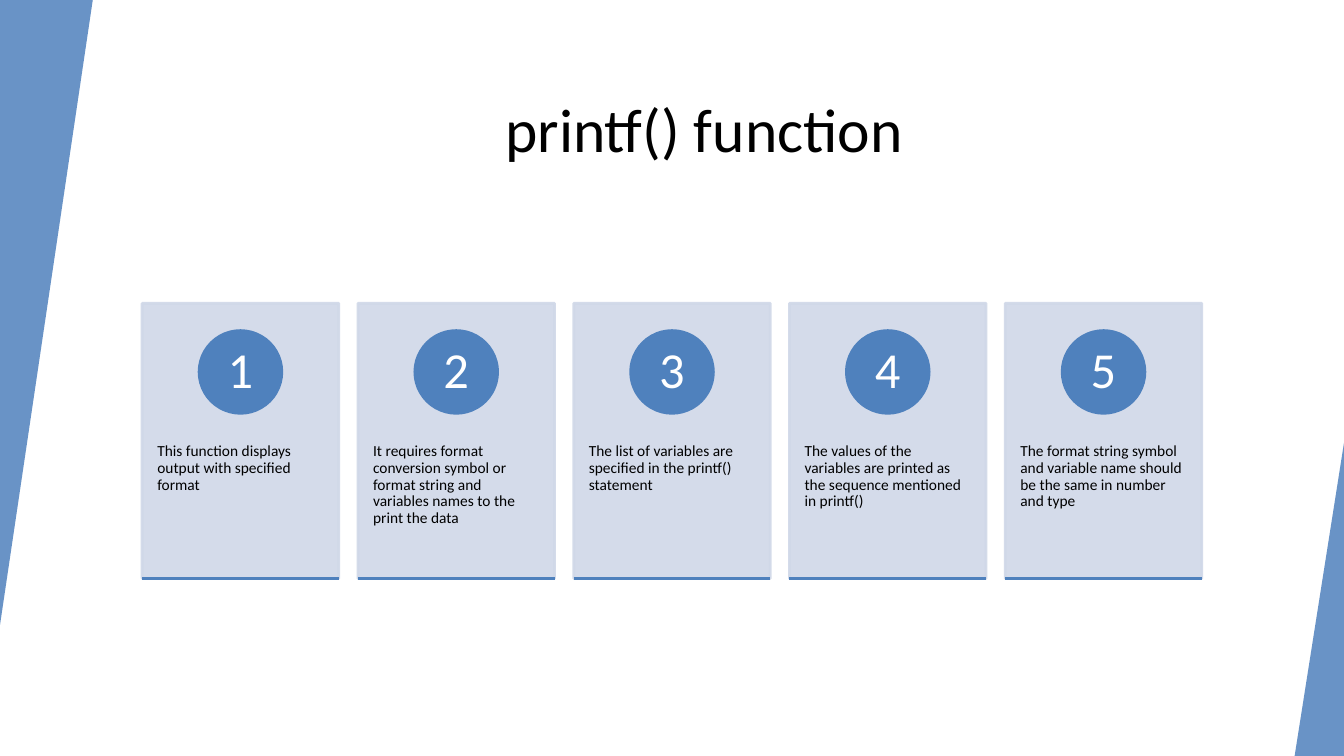
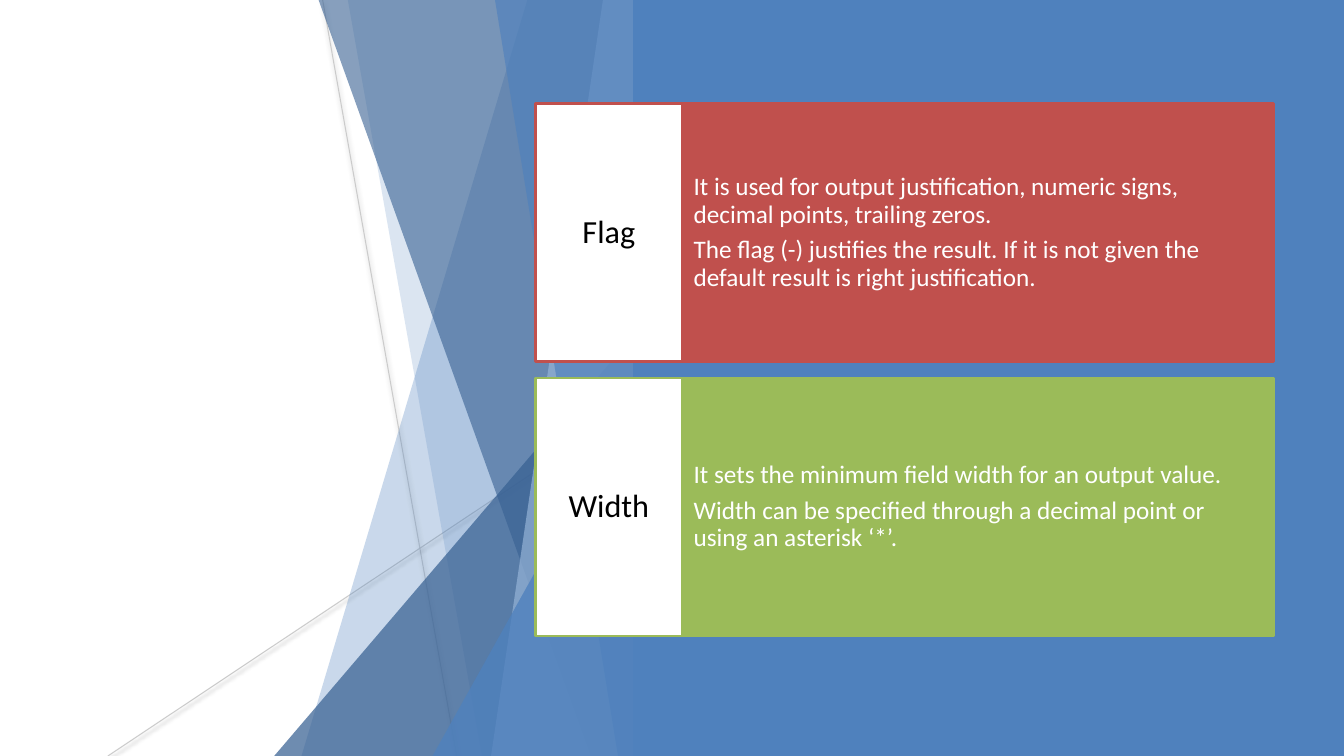
from lxml import etree
from pptx import Presentation
from pptx.dml.color import RGBColor
from pptx.enum.shapes import MSO_CONNECTOR, MSO_SHAPE
from pptx.enum.text import MSO_ANCHOR, PP_ALIGN
from pptx.oxml.ns import qn
from pptx.util import Inches, Pt

RECTANGLE = MSO_SHAPE.RECTANGLE
OVAL = MSO_SHAPE.OVAL
TRIANGLE = MSO_SHAPE.ISOSCELES_TRIANGLE
STRAIGHT = MSO_CONNECTOR.STRAIGHT
TOP, MIDDLE = MSO_ANCHOR.TOP, MSO_ANCHOR.MIDDLE
LEFT, CENTER = PP_ALIGN.LEFT, PP_ALIGN.CENTER

FONT = "Calibri"
BLACK = RGBColor(0x00, 0x00, 0x00)
WHITE = RGBColor(0xFF, 0xFF, 0xFF)
BLUE = RGBColor(0x4F, 0x81, 0xBD)
DARK_BLUE = RGBColor(0x37, 0x60, 0x92)
LIGHT_BLUE = RGBColor(0x95, 0xB3, 0xD7)
PALE_BLUE = RGBColor(0xD0, 0xD8, 0xE8)
RED = RGBColor(0xC0, 0x50, 0x4D)
GREEN = RGBColor(0x9B, 0xBB, 0x59)
GREY = RGBColor(0xBF, 0xBF, 0xBF)

SLIDE_WIDTH, SLIDE_HEIGHT = 13.33, 7.5

TITLE = "printf() function"
CARDS = [
    "This function displays output with specified format",
    "It requires format conversion symbol or format string and variables names to the print the data",
    "The list of variables are specified in the printf() statement",
    "The values of the variables are printed as the sequence mentioned in printf()",
    "The format string symbol and variable name should be the same in number and type",
]
PANELS = [
    ("Flag", RED, [
        "It is used for output justification, numeric signs, decimal points, trailing zeros.",
        "The flag (-) justifies the result. If it is not given the default result is right justification.",
    ]),
    ("Width", GREEN, [
        "It sets the minimum field width for an output value.",
        "Width can be specified through a decimal point or using an asterisk ‘*’.",
    ]),
]

CARD_LEFT, CARD_TOP, CARD_WIDTH, CARD_HEIGHT, CARD_PITCH = 1.41, 3.01, 1.95, 2.73, 2.14
BADGE_SIZE, BADGE_OFFSET = 0.82, 0.27
PANEL_LEFT, PANEL_TOP, PANEL_HEIGHT, PANEL_PITCH = 5.31, 1.03, 2.56, 2.72
LABEL_WIDTH, DETAIL_WIDTH = 1.46, 5.86

# Facets end at FACET_RIGHT; a band is (left at top, left at bottom),
# a corner is (left, top) of a right triangle standing on the slide's bottom.
FACET_RIGHT = 6.28
FACETS = [
    ("band", 5.23, 2.99, BLUE, 30),
    ("band", 3.45, 4.78, BLUE, 20),
    ("corner", 2.72, 3.33, DARK_BLUE, 72),
    ("band", 3.16, 5.86, DARK_BLUE, 60),
    ("band", 5.98, 4.87, LIGHT_BLUE, 70),
    ("band", 4.91, 6.13, BLUE, 65),
    ("corner", 4.29, 3.93, BLUE, 80),
]
HAIRLINES = [((3.2, 0), (4.53, 7.5), 75), ((6.28, 4.03), (1.07, 7.5), 80)]


def set_opacity(color_parent, percent):
    """Make every solid colour below the element partly transparent."""
    for color in color_parent.iter(qn("a:srgbClr")):
        etree.SubElement(color, qn("a:alpha"), val=str(percent * 1000))


def paint(shape, fill, line=None, opacity=100):
    shape.shadow.inherit = False
    shape.fill.solid()
    shape.fill.fore_color.rgb = fill
    if line is None:
        shape.line.fill.background()
    else:
        shape.line.color.rgb = line
        shape.line.width = Pt(2)
    if opacity < 100:
        set_opacity(shape._element.spPr, opacity)


def add_shape(slide, kind, left, top, width, height, fill, line=None, opacity=100):
    shape = slide.shapes.add_shape(
        kind, Inches(left), Inches(top), Inches(width), Inches(height))
    paint(shape, fill, line, opacity)
    return shape


def add_corner(slide, left, top, right, bottom, opacity, fill=BLUE):
    """Add a right triangle whose upright side is on the right."""
    corner = add_shape(slide, TRIANGLE, left, top, right - left, bottom - top,
                       fill, opacity=opacity)
    corner.adjustments[0] = 1
    return corner


def add_band(slide, top_left, bottom_left, fill, opacity):
    builder = slide.shapes.build_freeform(Inches(top_left), 0)
    corners = [(FACET_RIGHT, 0), (FACET_RIGHT, SLIDE_HEIGHT), (bottom_left, SLIDE_HEIGHT)]
    builder.add_line_segments([(Inches(x), Inches(y)) for x, y in corners])
    paint(builder.convert_to_shape(), fill, opacity=opacity)


def add_line(slide, start, end, color, width):
    """Add a straight line and return it with its empty effect list."""
    points = [Inches(value) for value in (*start, *end)]
    line = slide.shapes.add_connector(STRAIGHT, *points)
    line.line.color.rgb = color
    line.line.width = Pt(width)
    effects = etree.SubElement(line._element.spPr, qn("a:effectLst"))
    return line, effects


def add_hairline(slide, start, end, opacity):
    line, effects = add_line(slide, start, end, GREY, 0.75)
    set_opacity(line._element.spPr, opacity)
    shadow = etree.SubElement(
        effects, qn("a:outerShdw"), blurRad=str(Pt(3.1)), dist=str(Pt(1.6)),
        dir="5400000", rotWithShape="0")
    etree.SubElement(shadow, qn("a:srgbClr"), val=str(BLACK))
    set_opacity(shadow, 38)


def format_run(run, size, color):
    run.font.name = FONT
    run.font.size = Pt(size)
    run.font.color.rgb = color


def write(shape, texts, size, color, margins, align=LEFT, anchor=MIDDLE):
    """Fill a shape with paragraphs; margins are (side, top, bottom)."""
    frame = shape.text_frame
    frame.word_wrap = True
    frame.vertical_anchor = anchor
    side, top, bottom = (Inches(margin) for margin in margins)
    frame.margin_left = frame.margin_right = side
    frame.margin_top, frame.margin_bottom = top, bottom
    for index, text in enumerate(texts):
        paragraph = frame.add_paragraph() if index else frame.paragraphs[0]
        paragraph.alignment = align
        paragraph.line_spacing = 0.9
        paragraph.space_after = Pt(round(size * 0.35))
        run = paragraph.add_run()
        run.text = text
        format_run(run, size, color)


def add_title(slide, text):
    title = slide.shapes.title
    title.left, title.top = Inches(1.41), Inches(0.67)
    title.width, title.height = Inches(11.15), Inches(1.2)
    title.text_frame.vertical_anchor = MIDDLE
    paragraph = title.text_frame.paragraphs[0]
    paragraph.alignment = CENTER
    run = paragraph.add_run()
    run.text = text
    format_run(run, 44, BLACK)


def add_card(slide, index, text):
    left = CARD_LEFT + index * CARD_PITCH
    bottom = CARD_TOP + CARD_HEIGHT
    card = add_shape(slide, RECTANGLE, left, CARD_TOP, CARD_WIDTH, CARD_HEIGHT,
                     PALE_BLUE, PALE_BLUE, 90)
    write(card, [text], 11, BLACK, (0.15, 1.39, 0.36), anchor=TOP)
    badge = add_shape(slide, OVAL, left + (CARD_WIDTH - BADGE_SIZE) / 2,
                      CARD_TOP + BADGE_OFFSET, BADGE_SIZE, BADGE_SIZE, BLUE, BLUE)
    write(badge, [str(index + 1)], 36, WHITE, (0.06, 0.01, 0.01), CENTER)
    add_line(slide, (left, bottom), (left + CARD_WIDTH, bottom), BLUE, 2)


def add_panel(slide, index, label, color, details):
    top = PANEL_TOP + index * PANEL_PITCH
    detail_box = add_shape(slide, RECTANGLE, PANEL_LEFT + LABEL_WIDTH, top,
                           DETAIL_WIDTH, PANEL_HEIGHT, color, color)
    write(detail_box, details, 18, WHITE, (0.11, 0.65, 0.65))
    label_box = add_shape(slide, RECTANGLE, PANEL_LEFT, top,
                          LABEL_WIDTH, PANEL_HEIGHT, WHITE, color)
    write(label_box, [label], 23, BLACK, (0.08, 0.25, 0.25), CENTER)


def build_function_slide(presentation):
    slide = presentation.slides.add_slide(presentation.slide_layouts[5])
    add_title(slide, TITLE)
    for index, text in enumerate(CARDS):
        add_card(slide, index, text)
    add_corner(slide, 0, 0, 0.92, 6.2, 85).rotation = 180
    add_corner(slide, 12.84, 4.39, SLIDE_WIDTH, SLIDE_HEIGHT, 85)


def build_options_slide(presentation):
    slide = presentation.slides.add_slide(presentation.slide_layouts[6])
    for start, end, opacity in HAIRLINES:
        add_hairline(slide, start, end, opacity)
    for kind, first, second, fill, opacity in FACETS:
        if kind == "band":
            add_band(slide, first, second, fill, opacity)
        else:
            add_corner(slide, first, second, FACET_RIGHT, SLIDE_HEIGHT, opacity, fill)
    add_shape(slide, RECTANGLE, FACET_RIGHT, 0, SLIDE_WIDTH - FACET_RIGHT, SLIDE_HEIGHT, BLUE)
    for index, (label, color, details) in enumerate(PANELS):
        add_panel(slide, index, label, color, details)


def main():
    presentation = Presentation()
    presentation.slide_width = Inches(SLIDE_WIDTH)
    presentation.slide_height = Inches(SLIDE_HEIGHT)
    build_function_slide(presentation)
    build_options_slide(presentation)
    presentation.save("out.pptx")


if __name__ == "__main__":
    main()
